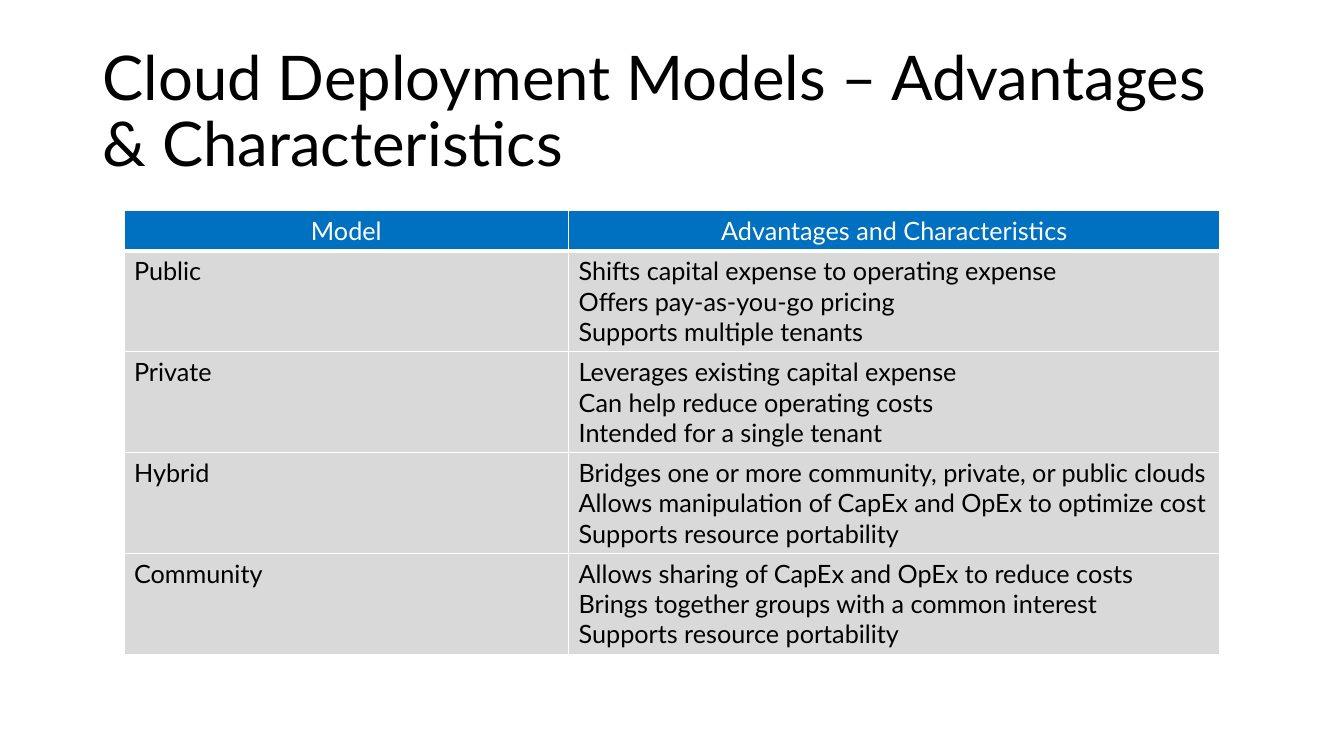
from lxml.etree import SubElement as Sub
from pptx import Presentation
from pptx.dml.color import RGBColor
from pptx.enum.text import MSO_ANCHOR as Anchor, PP_ALIGN as Align
from pptx.oxml.ns import qn
from pptx.util import Inches, Pt

BLACK = RGBColor(0x00, 0x00, 0x00)
WHITE = RGBColor(0xFF, 0xFF, 0xFF)
BLUE = RGBColor(0x00, 0x70, 0xC0)
GRAY = RGBColor(0xD9, 0xD9, 0xD9)

HEAD = ("Model", "Advantages and Characteristics")
MODELS = {
    "Public": (
        "Shifts capital expense to operating expense",
        "Offers pay-as-you-go pricing",
        "Supports multiple tenants",
    ),
    "Private": (
        "Leverages existing capital expense",
        "Can help reduce operating costs",
        "Intended for a single tenant",
    ),
    "Hybrid": (
        "Bridges one or more community, private, or public clouds",
        "Allows manipulation of CapEx and OpEx to optimize cost",
        "Supports resource portability",
    ),
    "Community": (
        "Allows sharing of CapEx and OpEx to reduce costs",
        "Brings together groups with a common interest",
        "Supports resource portability",
    ),
}


class Page:
    font = "Lato"

    def __init__(self, deck):
        self.slide = deck.slides.add_slide(deck.slide_layouts[6])

    def put(self, frame, lines, size, color, align=Align.LEFT):
        frame.text = "\n".join(lines)
        for para in frame.paragraphs:
            para.alignment = align
            para.font.name = self.font
            para.font.size = Pt(size)
            para.font.bold = False
            para.font.color.rgb = color

    def title(self, text, left, top, width, height):
        box = self.slide.shapes.add_textbox(
            Inches(left), Inches(top), Inches(width), Inches(height))
        frame = box.text_frame
        frame.word_wrap = True
        frame.vertical_anchor = Anchor.MIDDLE
        self.put(frame, [text], 44, BLACK)
        frame.paragraphs[0].line_spacing = 0.9

    def border(self, cell, bottom):
        # Borders come before the fill in the cell properties
        props = cell._tc.get_or_add_tcPr()
        sides = (("lnL", 1), ("lnR", 1), ("lnT", 1), ("lnB", bottom))
        for spot, (side, width) in enumerate(sides):
            line = Sub(props, qn(f"a:{side}"), w=str(Pt(width)))
            fill = Sub(line, qn("a:solidFill"))
            Sub(fill, qn("a:srgbClr"), val=str(WHITE))
            props.insert(spot, line)

    def table(self, head, models, left, top, widths, heights):
        grid = self.slide.shapes.add_table(
            len(heights), len(widths), Inches(left), Inches(top),
            Inches(sum(widths)), Inches(sum(heights))).table
        for col, width in zip(grid.columns, widths):
            col.width = Inches(width)
        for row, height in zip(grid.rows, heights):
            row.height = Inches(height)

        # Header row, then one row for each model
        rows = [[[text] for text in head]]
        rows += [[[name], traits] for name, traits in models.items()]
        for r, row in enumerate(rows):
            fill, ink, align, bottom = (
                (GRAY, BLACK, Align.LEFT, 1) if r
                else (BLUE, WHITE, Align.CENTER, 3))
            for c, lines in enumerate(row):
                cell = grid.cell(r, c)
                cell.fill.solid()
                cell.fill.fore_color.rgb = fill
                self.border(cell, bottom)
                self.put(cell.text_frame, lines, 18, ink, align)


def main():
    deck = Presentation()
    deck.slide_width = Inches(13.33)
    deck.slide_height = Inches(7.5)
    page = Page(deck)
    page.title("Cloud Deployment Models – Advantages & Characteristics",
               0.92, 0.4, 11.5, 1.45)
    page.table(HEAD, MODELS, 1.23, 2.09, (4.41, 6.46),
               [0.38] + [1] * len(MODELS))
    deck.save("out.pptx")


if __name__ == "__main__":
    main()
